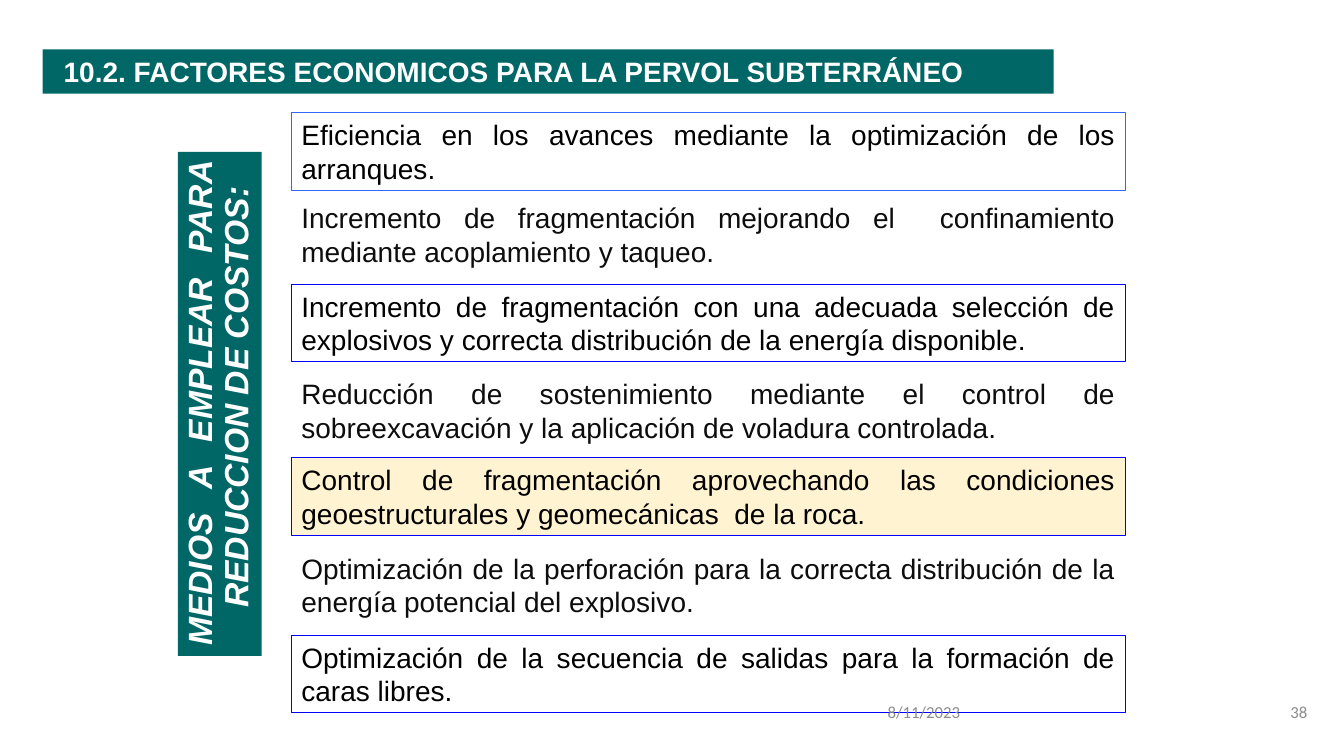
from lxml.etree import SubElement
from pptx import Presentation
from pptx.dml.color import RGBColor
from pptx.enum.shapes import MSO_SHAPE
from pptx.enum.text import MSO_ANCHOR, MSO_AUTO_SIZE, PP_ALIGN
from pptx.oxml.ns import qn
from pptx.util import Pt


def paint(fmt, color):
    fmt.solid()
    fmt.fore_color.rgb = RGBColor.from_string(color)


def write(sp, text, size, color, align, anchor=MSO_ANCHOR.TOP, font="Arial"):
    tf = sp.text_frame
    tf.text = text
    tf.word_wrap = True
    tf.auto_size = MSO_AUTO_SIZE.NONE
    tf.vertical_anchor = anchor
    p = tf.paragraphs[0]
    p.alignment = align
    p.space_before = Pt(0)
    p.font.name = font
    p.font.size = Pt(size)
    paint(p.font.fill, color)
    return p


prs = Presentation()
prs.slide_width, prs.slide_height = Pt(960), Pt(540)
s = prs.slides.add_slide(prs.slide_layouts[5])

title = s.shapes.title
title.left, title.top, title.width, title.height = Pt(-23), Pt(258.5), Pt(360), Pt(59.8)
title.rotation = 270
paint(title.fill, "006666")
p = write(title, "MEDIOS A EMPLEAR PARA REDUCCION DE COSTOS:", 24, "FFFFFF", PP_ALIGN.JUSTIFY)
p.line_spacing = 0.9
p.font.bold = p.font.italic = True
pPr = p._p.get_or_add_pPr()
pPr.set("marL", str(Pt(27)))
pPr.set("indent", str(Pt(-27)))

measures = [
    (80.6, "Eficiencia en los avances mediante la optimización de los arranques.", "FFFFFF", "3366FF"),
    (139.7, "Incremento de fragmentación mejorando el  confinamiento mediante acoplamiento y taqueo.", None, None),
    (203, "Incremento de fragmentación con una adecuada selección de explosivos y correcta distribución de la energía disponible.", "FFFFFF", "0000FF"),
    (265.7, "Reducción de sostenimiento mediante el control de sobreexcavación y la aplicación de voladura controlada.", None, None),
    (327, "Control de fragmentación aprovechando las condiciones geoestructurales y geomecánicas  de la roca.", "FFE699", "0000FF"),
    (390.2, "Optimización de la perforación para la correcta distribución de la energía potencial del explosivo.", None, None),
    (453.6, "Optimización de la secuencia de salidas para la formación de caras libres.", "FFFFFF", "0000FF"),
]
for top, text, fill, line in measures:
    box = Pt(208.2), Pt(top), Pt(595.5), Pt(55.6)
    if fill:
        sp = s.shapes.add_shape(MSO_SHAPE.RECTANGLE, *box)
        sp.shadow.inherit = False
        paint(sp.fill, fill)
        clr = sp._element.spPr.find(qn("a:solidFill")).find(qn("a:srgbClr"))
        SubElement(clr, qn("a:alpha")).set("val", "45000")
        paint(sp.line.fill, line)
        sp.line.width = Pt(0.75)
    else:
        sp = s.shapes.add_textbox(*box)
    write(sp, text, 20, "000000" if fill else "0D0D0D", PP_ALIGN.JUSTIFY)

for left, width, text, align in [
    (627, 258, "8/11/2023", PP_ALIGN.LEFT),
    (890.6, 50.4, "38", PP_ALIGN.RIGHT),
]:
    sp = s.shapes.add_textbox(Pt(left), Pt(494), Pt(width), Pt(28.8))
    write(sp, text, 12, "8C8C8C", align, MSO_ANCHOR.MIDDLE, "Calibri")

banner = s.shapes.add_shape(MSO_SHAPE.RECTANGLE, Pt(30.4), Pt(35.3), Pt(722.2), Pt(31.6))
banner.shadow.inherit = False
paint(banner.fill, "006666")
banner.line.fill.background()
p = write(banner, "10.2. FACTORES ECONOMICOS PARA LA PERVOL SUBTERRÁNEO", 20, "FFFFFF", PP_ALIGN.LEFT)
p.font.bold = True
pPr = p._p.get_or_add_pPr()
pPr.set("marL", str(Pt(42.5)))
pPr.set("indent", str(Pt(-34.5)))

prs.save("out.pptx")
